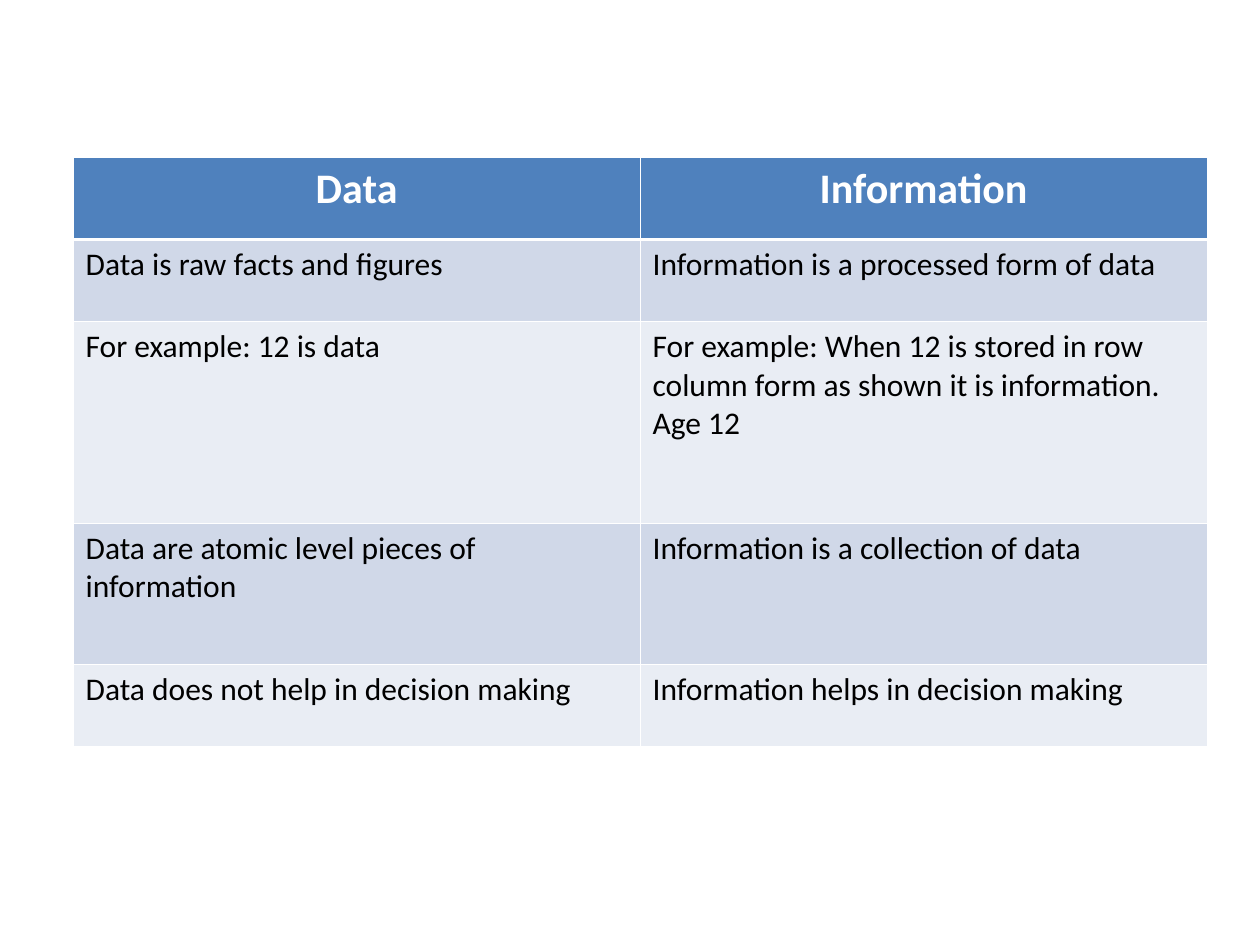
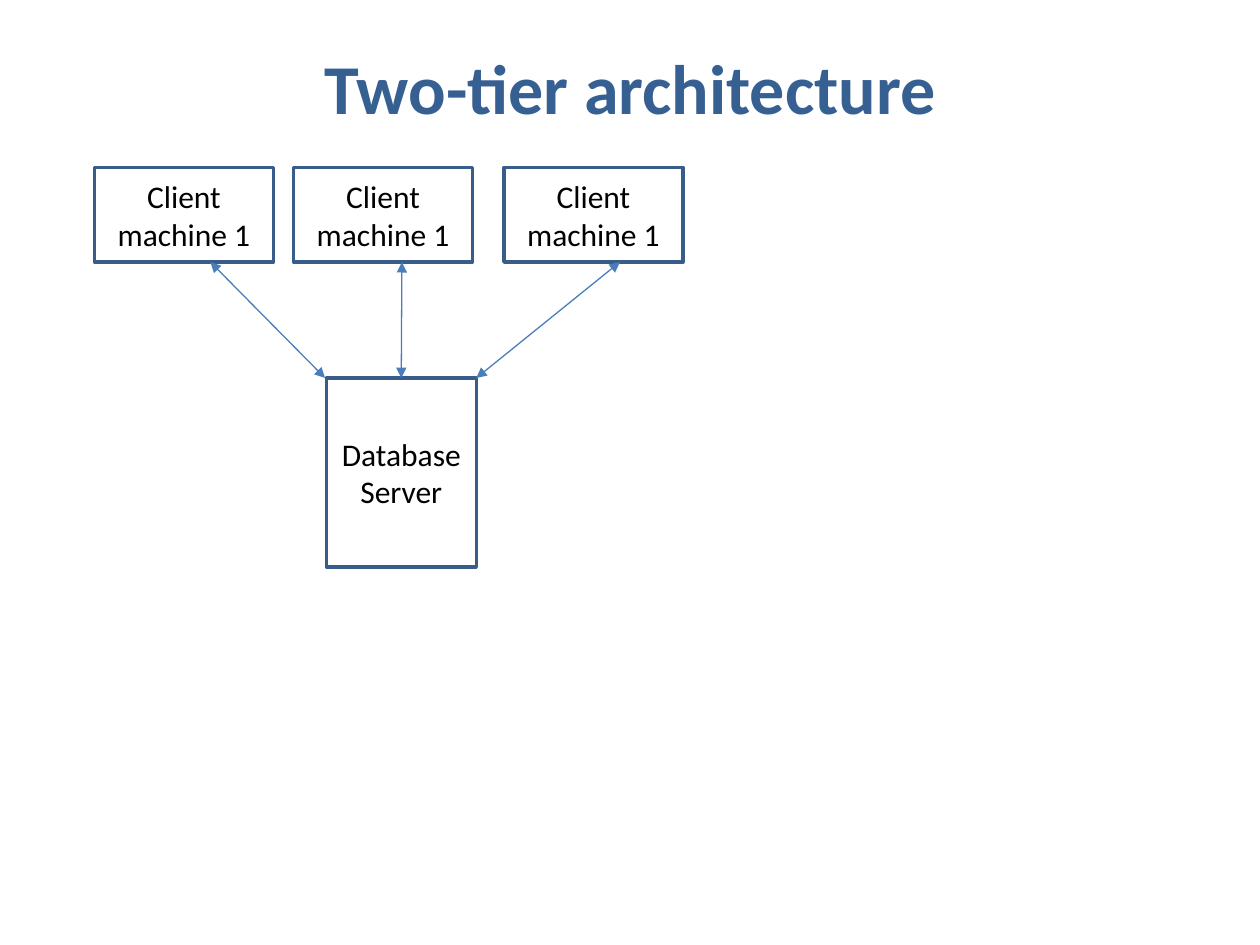
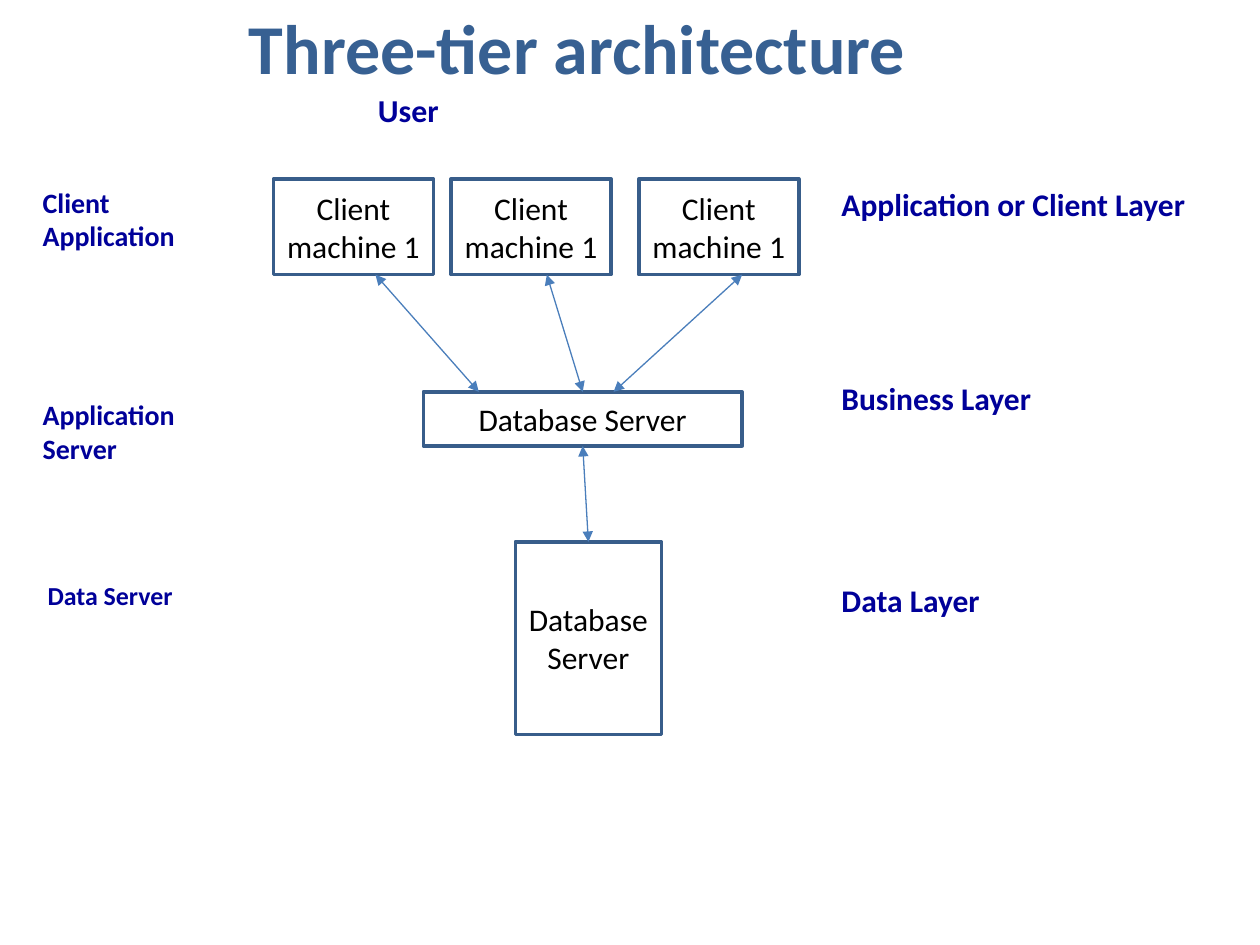
from lxml import etree
from pptx import Presentation
from pptx.dml.color import RGBColor
from pptx.enum import shapes, text
from pptx.oxml import ns
from pptx.util import Inches, Pt

FONT = "Calibri"
WHITE = RGBColor(0xFF, 0xFF, 0xFF)
BLACK = RGBColor(0x00, 0x00, 0x00)
TITLE_BLUE = RGBColor(0x37, 0x60, 0x92)
OUTLINE_BLUE = RGBColor(0x38, 0x5D, 0x8A)
ARROW_BLUE = RGBColor(0x4A, 0x7E, 0xBB)
LABEL_BLUE = RGBColor(0x00, 0x00, 0x99)
HEADER_BLUE = RGBColor(0x4F, 0x81, 0xBD)
BANDS = [RGBColor(0xE9, 0xED, 0xF4), RGBColor(0xD0, 0xD8, 0xE8)]

LEFT, CENTER, JUSTIFY = (text.PP_ALIGN.LEFT, text.PP_ALIGN.CENTER,
                         text.PP_ALIGN.JUSTIFY)
TOP, BOTTOM = 0, 2  # connection sites of a rectangle

# Content: lengths in inches
COMPARISON = [
    (0.65, "Data", "Information"),
    (0.65, "Data is raw facts and figures",
     "Information is a processed form of data"),
    (1.6, "For example: 12 is data",
     "For example: When 12 is stored in row column form as shown "
     "it is information.\nAge 12"),
    (1.12, "Data are atomic level pieces of information",
     "Information is a collection of data"),
    (0.65, "Data does not help in decision making",
     "Information helps in decision making"),
]
CLIENT, SERVER = "Client machine 1", "Database Server"

TWO_TIER = {
    "title": ("Two-tier architecture", (0.5, 0.3, 9, 0.78)),
    "client_lefts": [0.75, 2.33, 4],
    "client_size": (1.33, 1.42, 0.75),  # top, width, height
    "servers": [(2.59, 3, 1.19, 1.5)],
    # x at the server, x at the client
    "arrows": [(2.58, 1.67), (3.19, 3.19), (3.78, 4.92)],
    "labels": [],
}
THREE_TIER = {
    "title": ("Three-tier architecture", (0.08, 0.14, 9, 0.46)),
    "client_lefts": [2.17, 3.58, 5.07],
    "client_size": (1.42, 1.27, 0.76),
    "servers": [(3.36, 3.11, 2.53, 0.43), (4.09, 4.3, 1.16, 1.53)],
    "arrows": [(3.8, 2.98), (4.62, 4.34), (4.87, 5.89)],
    "labels": [
        ("User", 18.2, (2.9, 0.67, 0.92, 0.42)),
        ("Client Application", 16, (0.24, 1.42, 1.68, 0.76)),
        ("Application Server", 16, (0.24, 3.11, 1.68, 0.77)),
        ("Data Server", 14.8, (0.28, 4.55, 1.68, 0.36)),
        ("Application or Client Layer", 18, (6.58, 1.42, 3.25, 0.46)),
        ("Business Layer", 18, (6.58, 2.96, 3.25, 0.46)),
        ("Data Layer", 18, (6.58, 4.56, 3.25, 0.46)),
    ],
}


def inches(values):
    return [Inches(value) for value in values]


def write(frame, words, size=18, color=BLACK, bold=False, align=CENTER,
          anchor=text.MSO_ANCHOR.MIDDLE):
    frame.word_wrap = True
    frame.vertical_anchor = anchor
    frame.text = words
    for paragraph in frame.paragraphs:
        paragraph.alignment = align
        font = paragraph.font
        font.name, font.size, font.bold = FONT, Pt(size), bold
        font.color.rgb = color


def add_label(slide, words, place, **style):
    write(slide.shapes.add_textbox(*inches(place)).text_frame, words, **style)


def add_box(slide, words, place):
    box = slide.shapes.add_shape(shapes.MSO_SHAPE.RECTANGLE, *inches(place))
    box.shadow.inherit = False
    box.fill.background()
    box.line.color.rgb = OUTLINE_BLUE
    box.line.width = Pt(2)
    write(box.text_frame, words)
    return box


def add_arrow(slide, start, end):
    arrow = slide.shapes.add_connector(
        shapes.MSO_CONNECTOR.STRAIGHT, *inches(start + end))
    arrow.line.color.rgb = ARROW_BLUE
    arrow.line.width = Pt(0.75)
    line = arrow.line._get_or_add_ln()
    for tip in ("a:headEnd", "a:tailEnd"):
        etree.SubElement(line, ns.qn(tip), type="triangle")
    etree.SubElement(line.getparent(), ns.qn("a:effectLst"))
    return arrow


def add_border(cell, side, width):
    line = etree.SubElement(cell._tc.get_or_add_tcPr(), ns.qn("a:ln" + side),
                            w=str(Pt(width)))
    fill = etree.SubElement(line, ns.qn("a:solidFill"))
    etree.SubElement(fill, ns.qn("a:srgbClr"), val=str(WHITE))


def build_comparison(slide):
    height = sum(row[0] for row in COMPARISON)
    table = slide.shapes.add_table(
        len(COMPARISON), 2, *inches((0.58, 1.25, 9, height))).table
    for r, (row_height, *entries) in enumerate(COMPARISON):
        table.rows[r].height = Inches(row_height)
        for c, entry in enumerate(entries):
            cell = table.cell(r, c)
            # Thicker rule under the header
            for side in "LRTB":
                thick = (r, side) in [(0, "B"), (1, "T")]
                add_border(cell, side, 1.47 if thick else 0.45)
            cell.fill.solid()
            cell.fill.fore_color.rgb = BANDS[r % 2] if r else HEADER_BLUE
            style = (dict(align=LEFT) if r else
                     dict(size=24, color=WHITE, bold=True))
            write(cell.text_frame, entry, anchor=text.MSO_ANCHOR.TOP, **style)


def build_architecture(slide, tiers):
    title, place = tiers["title"]
    add_label(slide, title, place, size=40, color=TITLE_BLUE, bold=True)

    # Clients and servers
    client_top, width, height = tiers["client_size"]
    for left in tiers["client_lefts"]:
        add_box(slide, CLIENT, (left, client_top, width, height))
    servers = [add_box(slide, SERVER, at) for at in tiers["servers"]]

    # Arrows from the first server to the clients; the middle one is joined
    server_top = tiers["servers"][0][1]
    client_bottom = client_top + height
    arrows = [add_arrow(slide, (server_x, server_top), (client_x, client_bottom))
              for server_x, client_x in tiers["arrows"]]
    arrows[1].begin_connect(servers[0], TOP)

    # Arrows between servers
    for upper, lower in zip(servers, servers[1:]):
        link = add_arrow(slide, (0, 0), (1, 1))
        link.begin_connect(upper, BOTTOM)
        link.end_connect(lower, TOP)

    # Layer names
    for words, size, at in tiers["labels"]:
        add_label(slide, words, at, size=size, color=LABEL_BLUE, bold=True,
                  align=JUSTIFY, anchor=text.MSO_ANCHOR.TOP)


def main():
    deck = Presentation()
    deck.slide_width, deck.slide_height = inches((10, 7.5))
    blank = deck.slide_layouts[6]
    build_comparison(deck.slides.add_slide(blank))
    for tiers in (TWO_TIER, THREE_TIER):
        build_architecture(deck.slides.add_slide(blank), tiers)
    deck.save("out.pptx")


if __name__ == "__main__":
    main()
